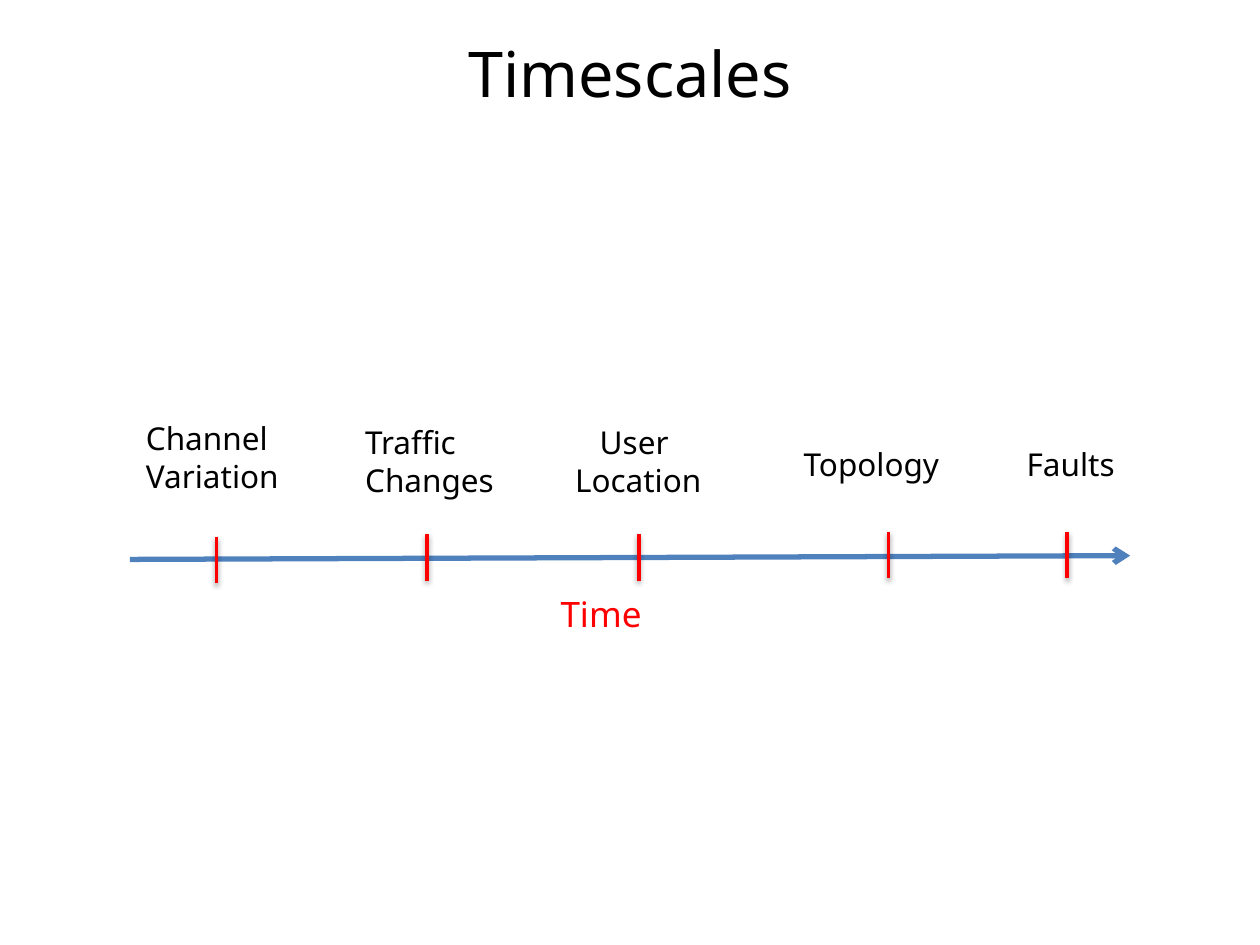
"""Build a slide with a timeline of network timescales."""
from lxml.etree import SubElement
from pptx import Presentation
from pptx.dml.color import RGBColor
from pptx.enum.shapes import MSO_CONNECTOR
from pptx.enum.text import MSO_ANCHOR, MSO_AUTO_SIZE, PP_ALIGN
from pptx.oxml.ns import qn
from pptx.util import Pt

COLORS = {"ink": "000000", "mark": "FF0000", "axis": "4F81BD"}
LEFT, CENTER = PP_ALIGN.LEFT, PP_ALIGN.CENTER


class Board:
    """Hold the style and the current slide."""

    font = "Noto Sans"

    def __init__(self, deck):
        self.slide = deck.slides.add_slide(deck.slide_layouts[5])

    def color(self, name):
        return RGBColor.from_string(COLORS[name])

    def fill_text(self, frame, text, size, color, align):
        frame.text = text
        style = {"name": self.font, "size": Pt(size), "bold": False}
        for para in frame.paragraphs:
            para.alignment = align
            for run in para.runs:
                for key, value in style.items():
                    setattr(run.font, key, value)
                run.font.color.rgb = self.color(color)

    def title(self, text, box):
        shape = self.slide.shapes.title
        for key, value in zip(("left", "top", "width", "height"), box):
            setattr(shape, key, Pt(value))
        frame = shape.text_frame
        self.fill_text(frame, text, 36, "ink", CENTER)
        frame.vertical_anchor = MSO_ANCHOR.TOP
        frame.auto_size = MSO_AUTO_SIZE.NONE

    def label(self, text, box, size=18, color="ink", align=LEFT):
        frame = self.slide.shapes.add_textbox(*map(Pt, box)).text_frame
        frame.word_wrap = False
        frame.auto_size = MSO_AUTO_SIZE.SHAPE_TO_FIT_TEXT
        self.fill_text(frame, text, size, color, align)

    def line(self, ends, color, width):
        line = self.slide.shapes.add_connector(MSO_CONNECTOR.STRAIGHT, *map(Pt, ends))
        line.line.color.rgb = self.color(color)
        line.line.width = Pt(width)
        effects = SubElement(line._element.spPr, qn("a:effectLst"))
        return line, effects

    def arrow(self, ends):
        line, _ = self.line(ends, "axis", 3)
        outline = line._element.spPr.find(qn("a:ln"))
        SubElement(outline, qn("a:tailEnd"), type="arrow")

    def tick(self, x, top, height=26.64):
        _, effects = self.line((x, top, x, top + height), "mark", 2)
        shade = SubElement(effects, qn("a:outerShdw"), blurRad=str(int(Pt(3.1))),
                           dist=str(int(Pt(1.6))), dir="5400000", rotWithShape="0")
        tint = SubElement(shade, qn("a:srgbClr"), val=COLORS["ink"])
        SubElement(tint, qn("a:alpha"), val="38000")


def main():
    deck = Presentation()
    deck.slide_width, deck.slide_height = Pt(720), Pt(540)
    board = Board(deck)
    board.title("Timescales", (36, 15.84, 648, 68.4))
    board.arrow((74.16, 319.68, 645.84, 317.52))
    stages = [
        ("Channel\nVariation", (76.32, 236.16, 95.76, 51.12), LEFT, 123.84, 306.72),
        ("Traffic\nChanges", (201.6, 238.32, 89.28, 51.12), LEFT, 244.08, 305.28),
        ("User \nLocation", (319.68, 238.32, 90, 51.12), CENTER, 365.04, 305.28),
        ("Topology", (452.16, 250.56, 97.2, 28.8), LEFT, 507.6, 303.84),
        ("Faults", (579.6, 250.56, 67.68, 28.8), LEFT, 609.84, 303.84),
    ]
    for text, box, align, x, top in stages:
        board.label(text, box, align=align)
        board.tick(x, top)
    board.label("Time", (313.2, 334.8, 64.08, 31.68), 20, "mark")
    deck.save("out.pptx")


if __name__ == "__main__":
    main()
